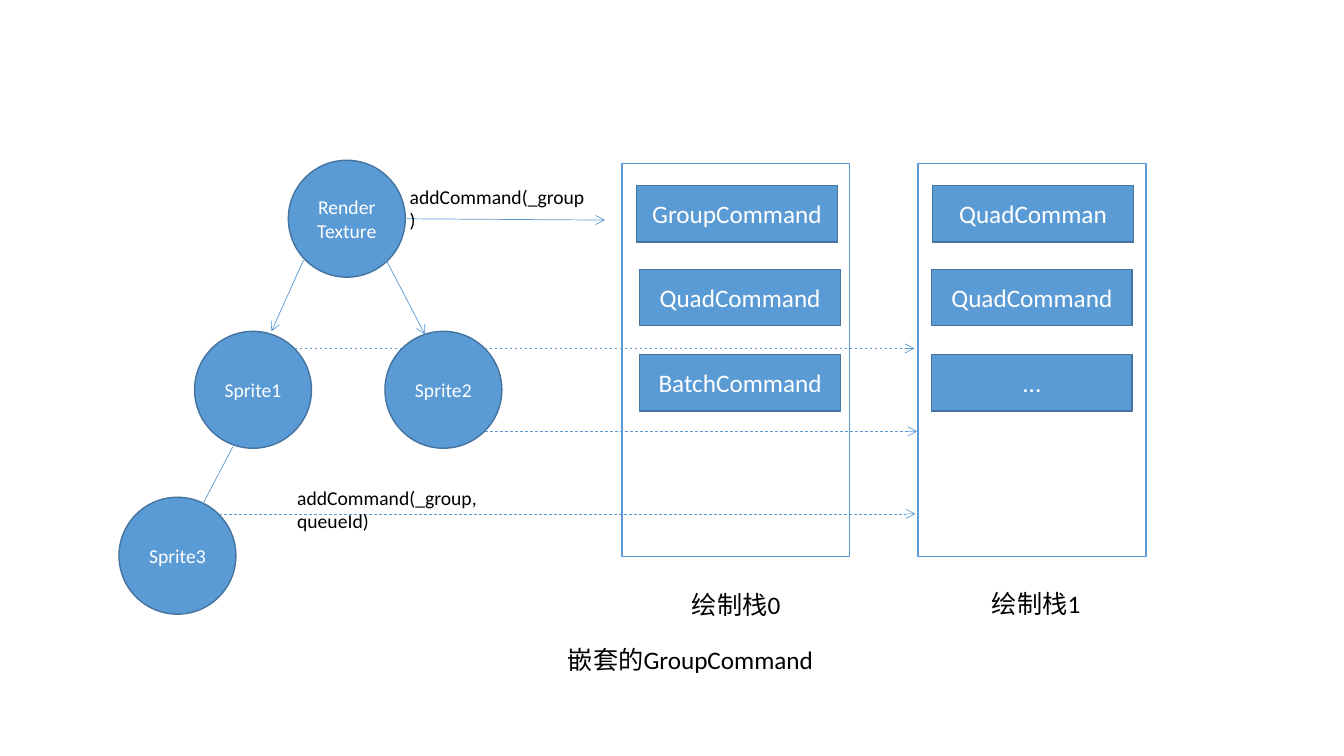
from lxml.etree import SubElement
from pptx import Presentation
from pptx.dml.color import RGBColor
from pptx.enum.dml import MSO_LINE
from pptx.enum.shapes import MSO_CONNECTOR, MSO_SHAPE
from pptx.enum.text import MSO_ANCHOR, MSO_AUTO_SIZE, PP_ALIGN
from pptx.oxml.ns import qn
from pptx.util import Pt

COLORS = {"blue": "5B9BD5", "border": "43739E", "white": "FFFFFF", "black": "000000"}


class Diagram:
    font = "Calibri"
    node_size = 83.5
    stack_size = (162.7, 280.8)
    command_size = (143.3, 40.3)

    def __init__(self, slide):
        self.slide = slide

    def color(self, name):
        return RGBColor.from_string(COLORS[name])

    def set_text(self, shape, text, size, color, alignment, frame_format):
        text_frame = shape.text_frame
        text_frame.text = text
        for name, value in frame_format.items():
            setattr(text_frame, name, value)
        font_format = {"name": self.font, "size": Pt(size)}
        for paragraph in text_frame.paragraphs:
            paragraph.alignment = alignment
            for run in paragraph.runs:
                for name, value in font_format.items():
                    setattr(run.font, name, value)
                run.font.color.rgb = self.color(color)

    def box(self, kind, left, top, width, height, fill, line, text="", size=18):
        shape = self.slide.shapes.add_shape(kind, Pt(left), Pt(top), Pt(width), Pt(height))
        shape.shadow.inherit = False
        shape.fill.solid()
        shape.fill.fore_color.rgb = self.color(fill)
        shape.line.color.rgb = self.color(line)
        shape.line.width = Pt(1)
        if text:
            self.set_text(shape, text, size, "white", PP_ALIGN.CENTER,
                          {"word_wrap": True, "vertical_anchor": MSO_ANCHOR.MIDDLE})

    def node(self, left, top, text):
        self.box(MSO_SHAPE.OVAL, left, top, self.node_size, self.node_size,
                 "blue", "border", text, 14)

    def stack(self, left, top):
        self.box(MSO_SHAPE.RECTANGLE, left, top, *self.stack_size, "white", "blue")

    def command(self, left, top, text):
        self.box(MSO_SHAPE.RECTANGLE, left, top, *self.command_size, "blue", "border", text)

    def label(self, left, top, width, height, text, size):
        shape = self.slide.shapes.add_textbox(Pt(left), Pt(top), Pt(width), Pt(height))
        self.set_text(shape, text, size, "black", PP_ALIGN.LEFT,
                      {"word_wrap": True, "auto_size": MSO_AUTO_SIZE.SHAPE_TO_FIT_TEXT})

    def arrow(self, start_x, start_y, end_x, end_y, dashed=False):
        connector = self.slide.shapes.add_connector(
            MSO_CONNECTOR.STRAIGHT, Pt(start_x), Pt(start_y), Pt(end_x), Pt(end_y))
        connector.line.color.rgb = self.color("blue")
        connector.line.width = Pt(0.5)
        if dashed:
            connector.line.dash_style = MSO_LINE.DASH
        properties = connector.element.spPr
        SubElement(properties.find(qn("a:ln")), qn("a:tailEnd"), type="arrow")
        SubElement(properties, qn("a:effectLst"))


presentation = Presentation()
presentation.slide_width = Pt(960)
presentation.slide_height = Pt(540)
diagram = Diagram(presentation.slides.add_slide(presentation.slide_layouts[6]))

for node in [(206, 114.5, "Render\nTexture"), (139, 236.7, "Sprite1"),
             (275, 236.7, "Sprite2"), (85, 355.2, "Sprite3")]:
    diagram.node(*node)

command_tops = (132.5, 192.4, 253.3)
stacks = [
    (444.2, (454.8, 457, 457), ("GroupCommand", "QuadCommand", "BatchCommand")),
    (655.8, (666.2, 665.4, 665.4), ("QuadComman", "QuadCommand", "...")),
]
for stack_left, command_lefts, names in stacks:
    diagram.stack(stack_left, 116.7)
    for command in zip(command_lefts, command_tops, names):
        diagram.command(*command)

for tree_arrow in [(216.8, 185.8, 193.9, 236.7), (276, 186, 303.6, 239),
                   (166.4, 319, 141.2, 367), (289.5, 156.3, 432.2, 157.2)]:
    diagram.arrow(*tree_arrow)

for start_x, end_x, y in [(210.4, 653.2, 248.9), (346.2, 655.2, 308.1),
                          (156.4, 653.9, 367.1)]:
    diagram.arrow(start_x, y, end_x, y, dashed=True)

for label in [(285.5, 128.3, 143.3, 24.2, "addCommand(_group)", 14),
              (205.2, 343.3, 196.6, 24.2, "addCommand(_group, queueId)", 14),
              (487.2, 417.4, 77.8, 29, "绘制栈0", 18),
              (701.5, 416.4, 77.8, 29, "绘制栈1", 18),
              (398.6, 456.4, 189.4, 29, "嵌套的GroupCommand", 18)]:
    diagram.label(*label)

presentation.save("out.pptx")
